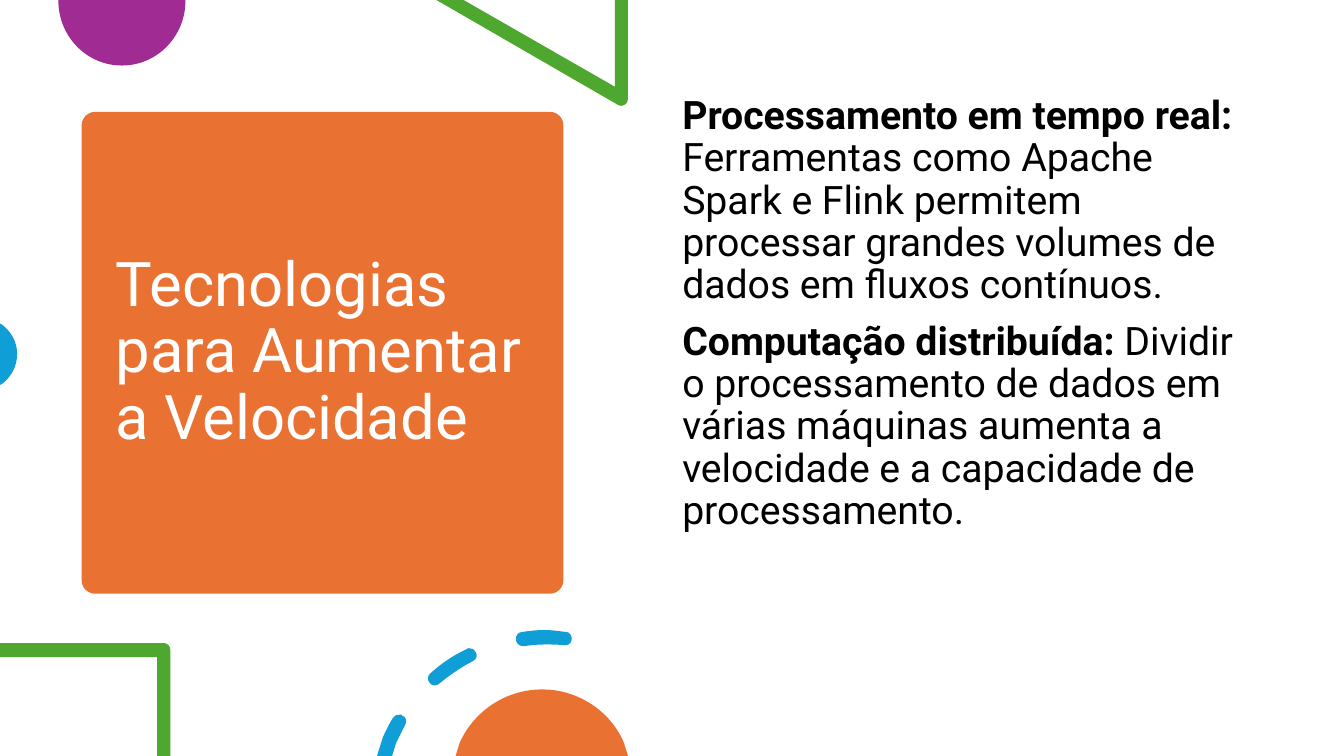
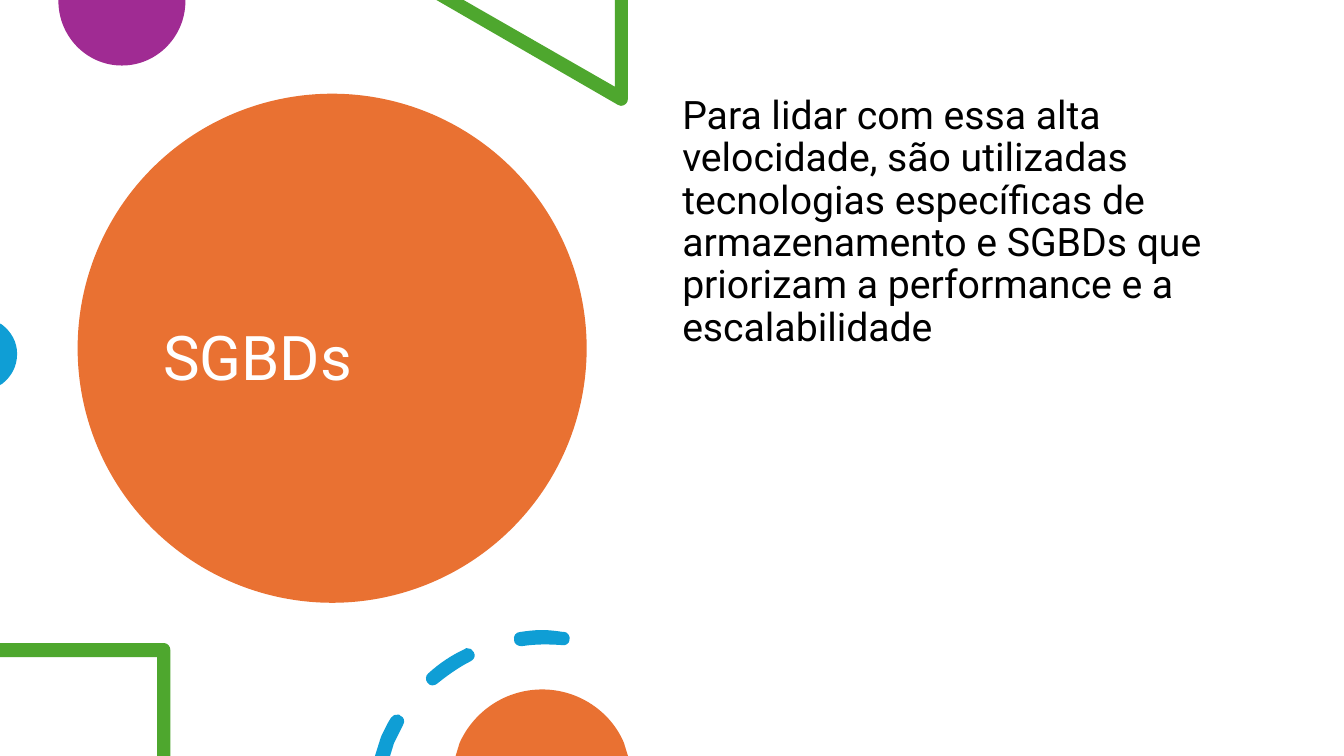
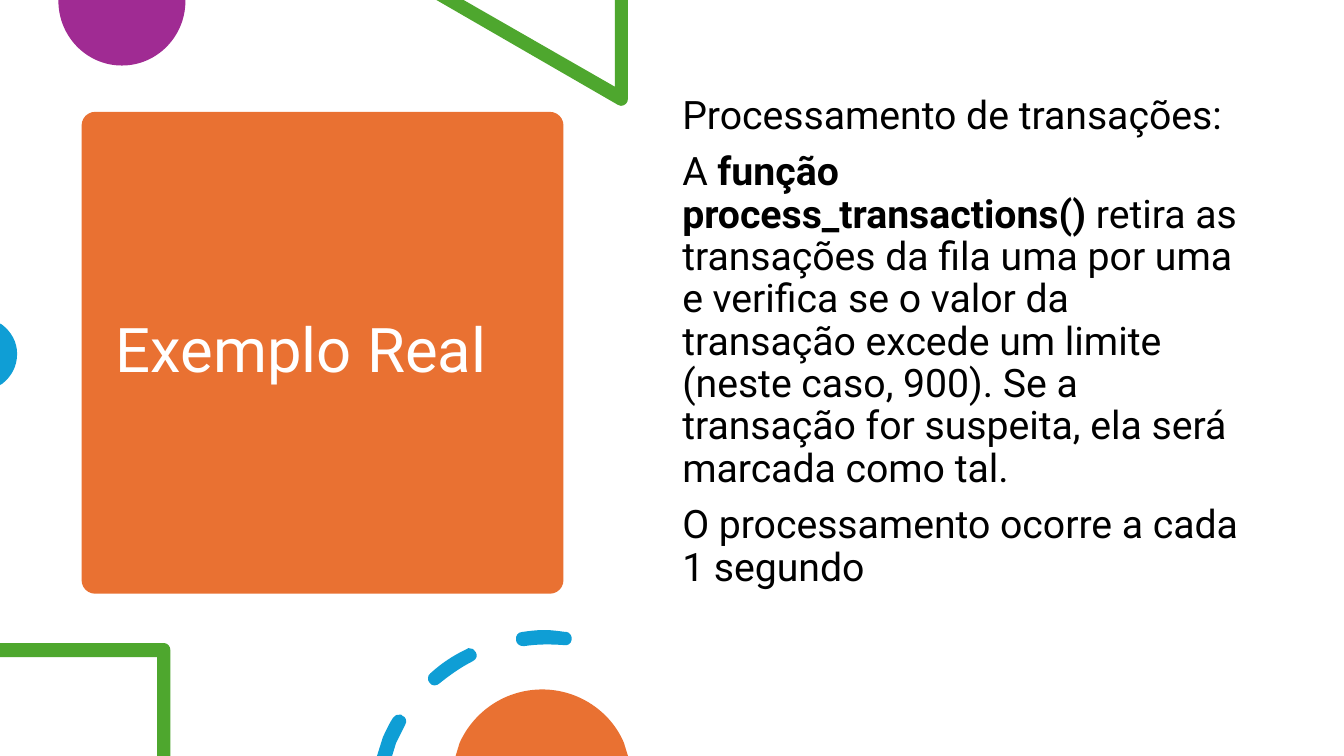
"""Build three slides on data velocity with a shared geometric frame."""
from lxml.etree import SubElement
from pptx import Presentation
from pptx.dml.color import RGBColor
from pptx.enum.shapes import MSO_SHAPE
from pptx.enum.text import MSO_ANCHOR
from pptx.oxml.ns import qn
from pptx.util import Inches, Pt

ORANGE = RGBColor(0xE9, 0x71, 0x32)
PURPLE = RGBColor(0xA0, 0x2B, 0x93)
GREEN = RGBColor(0x4E, 0xA7, 0x2E)
BLUE = RGBColor(0x0F, 0x9E, 0xD5)
WHITE = RGBColor(0xFF, 0xFF, 0xFF)
BLACK = RGBColor(0x00, 0x00, 0x00)
FONT = "Roboto"
SLIDE_W, SLIDE_H = 40 / 3, 7.5

SQUARE_CARD = (MSO_SHAPE.ROUNDED_RECTANGLE, (0.81, 1.11, 4.78, 4.78))
SQUARE_TITLE = (1.05, 1.22, 4.31, 4.56)
ROUND_CARD = (MSO_SHAPE.OVAL, (0.77, 0.93, 5.05, 5.05))
ROUND_TITLE = (1.52, 1.35, 3.54, 4.45)
BODY = (6.67, 0.9, 5.75, 5.35)

# Two numbers are a corner; six are the two handles and the end of a curve.
HALF_DISC = [
    (1.84, 0), (0.58, 0), (0.58, 0.01),
    (0.58, 0.36, 0.86, 0.65, 1.21, 0.65), (1.56, 0.65, 1.84, 0.36, 1.84, 0.01),
]
TRIANGLE = [
    (6.23, 0), (6.1, 0), (6.1, 0.86), (4.6, 0), (4.33, 0), (6.13, 1.04),
    (6.14, 1.05, 6.15, 1.05, 6.16, 1.05), (6.2, 1.05, 6.23, 1.02, 6.23, 0.98),
]
EDGE_DOT = [
    (0, 3.21), (0, 3.82), (0.02, 3.81),
    (0.11, 3.74, 0.17, 3.64, 0.17, 3.51), (0.17, 3.39, 0.11, 3.29, 0.02, 3.22),
]
CORNER = [
    (1.63, 6.38), (0, 6.38), (0, 6.52), (1.56, 6.52), (1.56, 7.5), (1.69, 7.5),
    (1.69, 6.45), (1.69, 6.41, 1.66, 6.38, 1.63, 6.38),
]
RING_DASHES = [
    [
        (3.97, 7.09), (3.94, 7.08, 3.92, 7.1, 3.9, 7.12),
        (3.86, 7.18, 3.83, 7.25, 3.8, 7.31), (3.74, 7.5), (3.89, 7.5),
        (3.93, 7.37), (3.96, 7.31, 3.99, 7.25, 4.02, 7.19),
        (4.04, 7.16, 4.03, 7.11, 3.99, 7.1), (3.99, 7.09, 3.98, 7.09, 3.97, 7.09),
    ],
    [
        (4.65, 6.43), (4.65, 6.43, 4.64, 6.43, 4.63, 6.44),
        (4.5, 6.5, 4.38, 6.58, 4.27, 6.68), (4.24, 6.7, 4.24, 6.75, 4.26, 6.77),
        (4.27, 6.79, 4.29, 6.8, 4.31, 6.8), (4.31, 6.8),
        (4.33, 6.8, 4.35, 6.79, 4.36, 6.78), (4.46, 6.7, 4.57, 6.62, 4.69, 6.56),
        (4.73, 6.54, 4.74, 6.5, 4.72, 6.47), (4.71, 6.44, 4.68, 6.43, 4.65, 6.43),
    ],
    [
        (5.4, 6.25), (5.32, 6.25, 5.25, 6.26, 5.18, 6.27),
        (5.14, 6.27, 5.11, 6.31, 5.12, 6.35), (5.12, 6.38, 5.15, 6.41, 5.19, 6.41),
        (5.19, 6.41, 5.19, 6.41, 5.2, 6.41), (5.33, 6.39, 5.46, 6.39, 5.6, 6.4),
        (5.63, 6.41, 5.67, 6.38, 5.67, 6.35), (5.68, 6.31, 5.65, 6.27, 5.62, 6.27),
        (5.62, 6.27, 5.61, 6.27, 5.61, 6.27), (5.54, 6.26, 5.47, 6.25, 5.4, 6.25),
    ],
]
DOME = [
    (5.38, 6.84), (5.01, 6.84, 4.7, 7.06, 4.56, 7.37), (4.52, 7.5), (6.23, 7.5),
    (6.19, 7.37), (6.06, 7.06, 5.74, 6.84, 5.38, 6.84),
]


def paint(shape, color):
    shape.shadow.inherit = False
    shape.fill.solid()
    shape.fill.fore_color.rgb = color
    shape.line.fill.background()


def merge_curves(shape, segments):
    lines = iter(list(shape.element.iter(qn("a:lnTo"))))
    for segment in segments:
        first = next(lines)
        if len(segment) == 6:
            curve = first.makeelement(qn("a:cubicBezTo"))
            first.addprevious(curve)
            for line in (first, next(lines), next(lines)):
                SubElement(curve, qn("a:pt"), dict(line[0].attrib))
                line.getparent().remove(line)


def add_outline(slide, color, *contours, shift=0):
    builder = None
    for start, *segments in contours:
        x, y = Inches(start[0] + shift), Inches(start[1])
        if builder is None:
            builder = slide.shapes.build_freeform(x, y, scale=1.0)
        else:
            builder.move_to(x, y)
        points = [
            (Inches(px + shift), Inches(py))
            for segment in segments
            for px, py in zip(segment[::2], segment[1::2])
        ]
        builder.add_line_segments(points, close=True)
    shape = builder.convert_to_shape()
    merge_curves(shape, [segment for contour in contours for segment in contour[1:]])
    paint(shape, color)


def add_text(slide, box, paragraphs, size, color, anchor, space_before=None):
    frame = slide.shapes.add_textbox(*map(Inches, box)).text_frame
    frame.word_wrap = True
    frame.vertical_anchor = anchor
    for index, pieces in enumerate(paragraphs):
        paragraph = frame.add_paragraph() if index else frame.paragraphs[0]
        paragraph.line_spacing = 0.9
        paragraph.space_before = space_before
        for text, bold in pieces:
            run = paragraph.add_run()
            run.text = text
            run.font.name = FONT
            run.font.size = Pt(size)
            run.font.bold = bold
            run.font.color.rgb = color


def add_topic(deck, card, title_box, title, body, ring_shift=0):
    slide = deck.slides.add_slide(deck.slide_layouts[6])
    preset, card_box = card
    panel = slide.shapes.add_shape(preset, *map(Inches, card_box))
    if preset == MSO_SHAPE.ROUNDED_RECTANGLE:
        panel.adjustments[0] = 0.028
    paint(panel, ORANGE)
    add_text(slide, title_box, [[(title, False)]], 44, WHITE, MSO_ANCHOR.MIDDLE)
    add_outline(slide, PURPLE, HALF_DISC)
    add_outline(slide, GREEN, TRIANGLE)
    add_outline(slide, BLUE, EDGE_DOT)
    add_text(slide, BODY, body, 28, BLACK, MSO_ANCHOR.TOP, Pt(10))
    add_outline(slide, GREEN, CORNER)
    add_outline(slide, BLUE, *RING_DASHES, shift=ring_shift)
    add_outline(slide, ORANGE, DOME)


def main():
    deck = Presentation()
    deck.slide_width, deck.slide_height = Inches(SLIDE_W), Inches(SLIDE_H)
    add_topic(deck, SQUARE_CARD, SQUARE_TITLE, "Tecnologias para Aumentar a Velocidade", [
        [("Processamento em tempo real: ", True),
         ("Ferramentas como Apache Spark e Flink permitem processar grandes "
          "volumes de dados em fluxos contínuos.", False)],
        [("Computação distribuída: ", True),
         ("Dividir o processamento de dados em várias máquinas aumenta a "
          "velocidade e a capacidade de processamento.", False)],
    ])
    add_topic(deck, ROUND_CARD, ROUND_TITLE, "SGBDs", [
        [("Para lidar com essa alta velocidade, são utilizadas tecnologias "
          "específicas de armazenamento e SGBDs que priorizam a performance "
          "e a escalabilidade", False)],
    ], ring_shift=-0.02)
    add_topic(deck, SQUARE_CARD, SQUARE_TITLE, "Exemplo Real", [
        [("Processamento de transações:", False)],
        [("A ", False),
         ("função process_transactions() ", True),
         ("retira as transações da fila uma por uma e verifica se o valor da "
          "transação excede um limite (neste caso, 900). Se a transação for "
          "suspeita, ela será marcada como tal.", False)],
        [("O processamento ocorre a cada 1 segundo", False)],
    ])
    deck.save("out.pptx")


if __name__ == "__main__":
    main()
